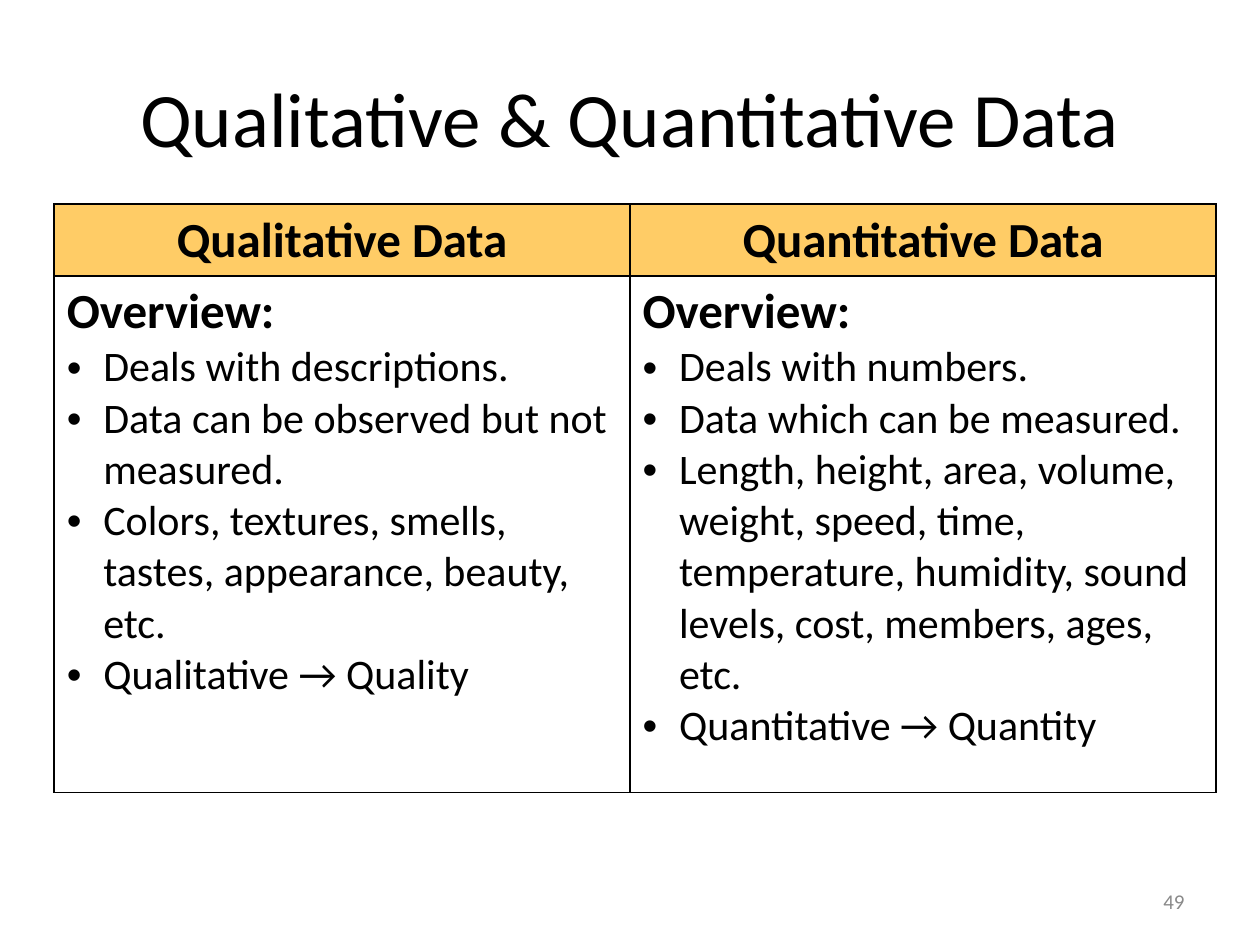
from lxml import etree
from pptx import Presentation
from pptx.dml.color import RGBColor
from pptx.enum.text import MSO_ANCHOR, PP_ALIGN
from pptx.oxml.ns import qn
from pptx.util import Inches, Pt

LEFT, CENTER, RIGHT = PP_ALIGN.LEFT, PP_ALIGN.CENTER, PP_ALIGN.RIGHT
MIDDLE = MSO_ANCHOR.MIDDLE

BLACK = RGBColor(0x00, 0x00, 0x00)
WHITE = RGBColor(0xFF, 0xFF, 0xFF)
GRAY = RGBColor(0x89, 0x89, 0x89)
AMBER = RGBColor(0xFF, 0xCC, 0x66)

HEADING = {"size": Pt(28), "bold": True}
POINT = {"size": Pt(24), "bold": False}

COLUMNS = {
    "Qualitative Data": [
        "Deals with descriptions.",
        "Data can be observed but not measured.",
        "Colors, textures, smells, tastes, appearance, beauty, etc.",
        "Qualitative → Quality",
    ],
    "Quantitative Data": [
        "Deals with numbers.",
        "Data which can be measured.",
        "Length, height, area, volume, weight, speed, time, temperature, "
        "humidity, sound levels, cost, members, ages, etc.",
        "Quantitative → Quantity",
    ],
}


class PageBuilder:
    """Draws on one page; lengths are cells of a 100 by 75 grid."""

    font_name = "Calibri"
    cell_size = Inches(0.1)
    border_width = Pt(1)
    bullet_indent = Inches(0.29)

    def __init__(self, page):
        self.page = page

    def grid(self, *lengths):
        return [round(length * self.cell_size) for length in lengths]

    def add_span(self, para, text, align=LEFT, color=BLACK, **formats):
        para.alignment = align
        span = para.add_run()
        span.text = text
        span.font.color.rgb = color
        for name, value in {"name": self.font_name, **formats}.items():
            setattr(span.font, name, value)

    def text(self, place, text, **formats):
        box = self.page.shapes.add_textbox(*self.grid(*place))
        frame = box.text_frame
        frame.word_wrap = True
        frame.vertical_anchor = MIDDLE
        self.add_span(frame.paragraphs[0], text, **formats)

    def bullet(self, para):
        properties = para._p.get_or_add_pPr()
        properties.set("marL", str(self.bullet_indent))
        properties.set("indent", str(-self.bullet_indent))
        etree.SubElement(properties, qn("a:buFont"), typeface="Arial")
        etree.SubElement(properties, qn("a:buChar"), char="•")

    def style_cell(self, cell, fill):
        properties = cell._tc.get_or_add_tcPr()
        for side in ("lnL", "lnR", "lnT", "lnB"):
            line = etree.SubElement(properties, qn(f"a:{side}"), w=str(self.border_width))
            solid = etree.SubElement(line, qn("a:solidFill"))
            etree.SubElement(solid, qn("a:srgbClr"), val=str(BLACK))
        cell.fill.solid()
        cell.fill.fore_color.rgb = fill

    def comparison(self, left, top, widths, heights, columns):
        """Table with a title row above one cell of bullet points per column."""
        place = self.grid(left, top, sum(widths), sum(heights))
        table = self.page.shapes.add_table(len(heights), len(widths), *place).table
        for column, width in zip(table.columns, self.grid(*widths)):
            column.width = width
        for row, height in zip(table.rows, self.grid(*heights)):
            row.height = height
        for index, (title, points) in enumerate(columns.items()):
            header, body = table.cell(0, index), table.cell(1, index)
            self.style_cell(header, AMBER)
            self.style_cell(body, WHITE)
            self.add_span(header.text_frame.paragraphs[0], title, CENTER, **HEADING)
            frame = body.text_frame
            self.add_span(frame.paragraphs[0], "Overview:", **HEADING)
            for point in points:
                para = frame.add_paragraph()
                self.bullet(para)
                self.add_span(para, point, **POINT)


def main():
    deck = Presentation()
    deck.slide_width, deck.slide_height = Inches(10), Inches(7.5)
    builder = PageBuilder(deck.slides.add_slide(deck.slide_layouts[6]))
    builder.text((5, 3, 90, 12.5), "Qualitative & Quantitative Data",
                 align=CENTER, size=Pt(44))
    builder.comparison(4.3, 16.2, (45.7, 46.5), (5.7, 41), COLUMNS)
    builder.text((71.7, 69.5, 23.3, 4), "49", align=RIGHT, color=GRAY, size=Pt(12))
    deck.save("out.pptx")


if __name__ == "__main__":
    main()
